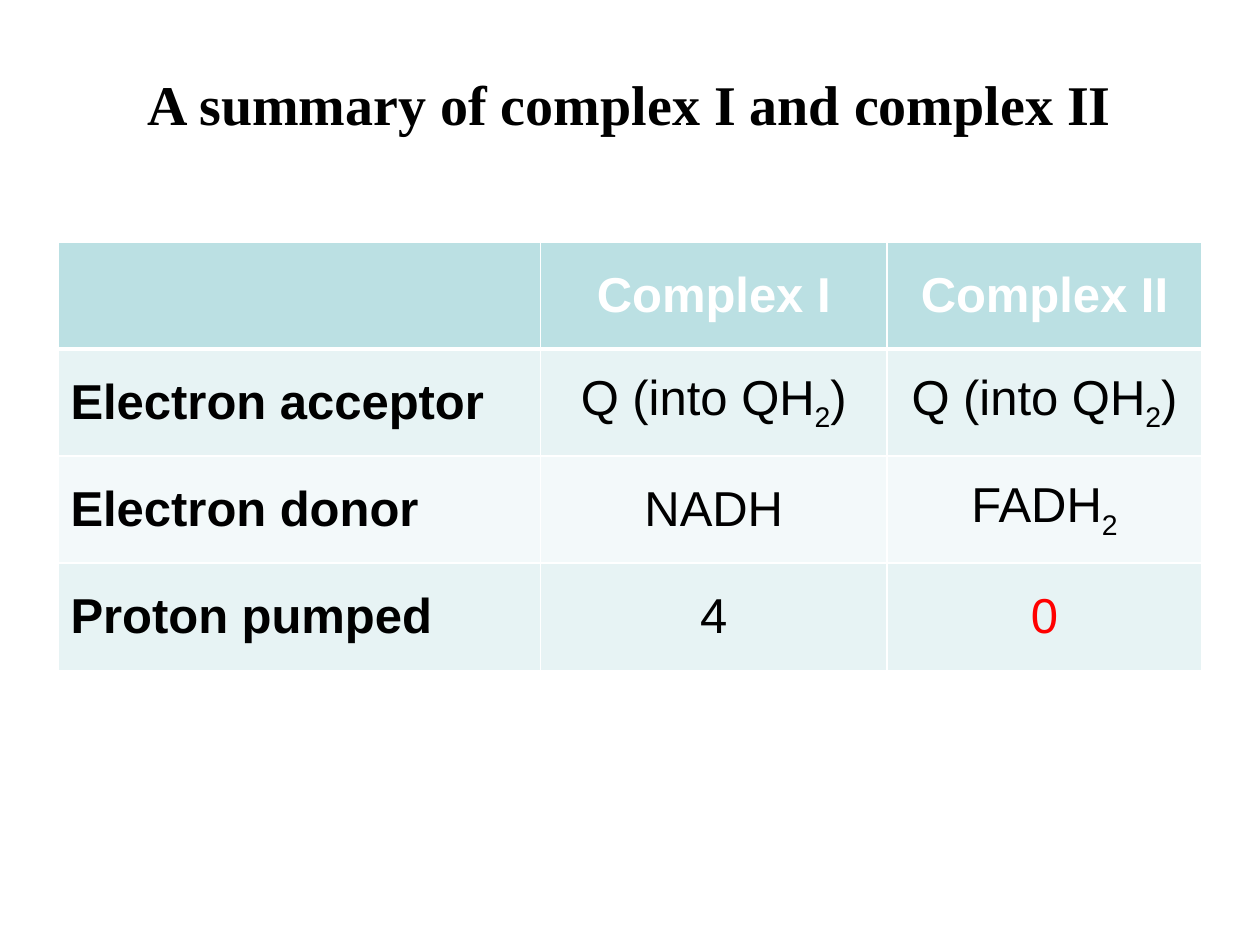
"""Build a slide with a table that sums up complex I and complex II."""
import pptx
import pptx.dml.color
import pptx.enum.text
import pptx.oxml
import pptx.oxml.ns
import pptx.util

Inches = pptx.util.Inches
ALIGN = pptx.enum.text.PP_ALIGN
BLACK, WHITE, RED = "000000", "FFFFFF", "FF0000"
FILLS = ["BBE0E3", "E7F3F4", "F3F9FA", "E7F3F4"]
WIDTHS = [3.83, 2.75, 2.5]
HEIGHT = 0.85
ROWS = [
    ["", "Complex I", "Complex II"],
    ["Electron acceptor", "Q (into QH_2_)", "Q (into QH_2_)"],
    ["Electron donor", "NADH", "FADH_2"],
    ["Proton pumped", "4", "0"],
]


def paint(item, color):
    item.color.rgb = pptx.dml.color.RGBColor.from_string(color)


def write(para, text, face, size, color, bold, align):
    """Write text in which underscores switch subscript on and off."""
    para.alignment = align
    font = para.font
    font.name, font.size, font.bold = face, pptx.util.Pt(size), bold
    paint(font, color)
    for num, part in enumerate(text.split("_")):
        if part:
            run = para.add_run()
            run.text = part
            if num % 2:
                run.font._element.set("baseline", "-25000")


def edge(cell, side, width):
    space = pptx.oxml.ns.nsdecls("a")
    line = pptx.oxml.parse_xml(
        f'<a:ln{side} {space} w="{pptx.util.Pt(width)}"><a:solidFill>'
        f'<a:srgbClr val="{WHITE}"/></a:solidFill></a:ln{side}>')
    cell._tc.get_or_add_tcPr().append(line)


def style(cell, row, col):
    cell.vertical_anchor = pptx.enum.text.MSO_ANCHOR.MIDDLE
    thick = {(0, "B"), (1, "T")}
    for side in "LRTB":
        edge(cell, side, 3 if (row, side) in thick else 1)
    cell.fill.solid()
    cell.fill.fore_color.rgb = pptx.dml.color.RGBColor.from_string(FILLS[row])
    text = ROWS[row][col]
    color = WHITE if row == 0 else RED if text == "0" else BLACK
    align = ALIGN.CENTER if col else ALIGN.LEFT
    write(cell.text_frame.paragraphs[0], text, "Arial", 28, color,
          row == 0 or col == 0, align)


def add_grid(slide):
    frame = slide.shapes.add_table(
        len(ROWS), len(WIDTHS), Inches(0.46), Inches(1.92),
        Inches(sum(WIDTHS)), Inches(HEIGHT * len(ROWS)))
    table = frame.table
    for col, width in enumerate(WIDTHS):
        table.columns[col].width = Inches(width)
    for row in range(len(ROWS)):
        for col in range(len(WIDTHS)):
            style(table.cell(row, col), row, col)


def add_title(slide, text):
    box = slide.shapes.add_textbox(
        Inches(0), Inches(0.5), Inches(10), Inches(0.64))
    box.text_frame.word_wrap = True
    write(box.text_frame.paragraphs[0], text, "Times New Roman", 32, BLACK,
          True, ALIGN.CENTER)


def main():
    deck = pptx.Presentation()
    deck.slide_width, deck.slide_height = Inches(10), Inches(7.5)
    slide = deck.slides.add_slide(deck.slide_layouts[6])
    add_grid(slide)
    add_title(slide, "A summary of complex I and complex II")
    deck.save("out.pptx")


if __name__ == "__main__":
    main()
